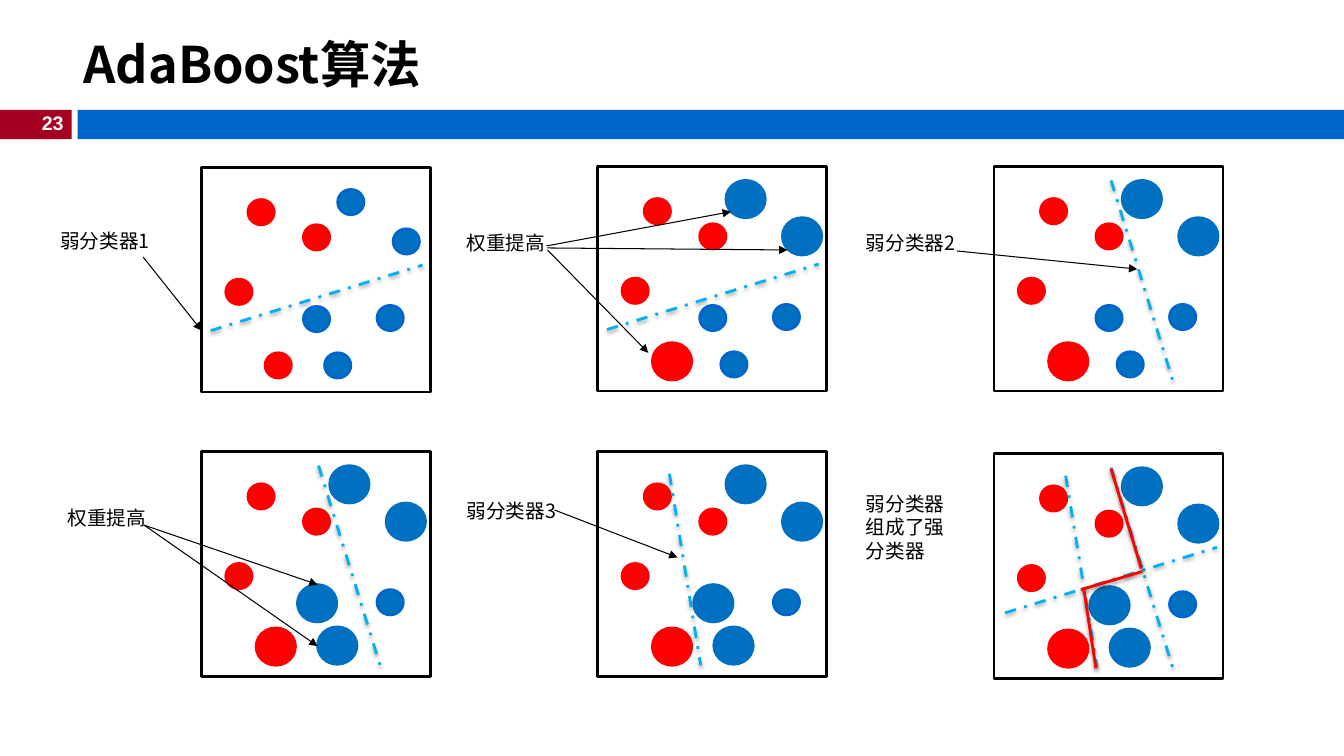
import pptx
import pptx.util
import pptx.dml.color
import pptx.enum.dml
import pptx.enum.shapes
import pptx.enum.text
import pptx.oxml
import pptx.oxml.ns
from dataclasses import dataclass
from pptx.util import Inches


@dataclass(frozen=True)
class Theme:
    black: str = "000000"
    white: str = "FFFFFF"
    banner_red: str = "A50021"
    banner_blue: str = "0066CC"
    red: str = "FF0000"
    blue: str = "0070C0"
    split: str = "00B0F0"
    title_size: int = 36
    label_size: int = 14
    outline: float = 2
    arrow: float = 0.75
    text_font: str = "Noto Sans CJK SC"
    number_font: str = "Arial"


THEME = Theme()
SHAPES = pptx.enum.shapes.MSO_SHAPE
ALIGN = pptx.enum.text.PP_ALIGN
ANCHOR = pptx.enum.text.MSO_ANCHOR

PANEL_SIZE = (2.27, 2.23)
PANEL_LEFT, PANEL_STEP = 2, 3.93
SMALL, LARGE = (0.26, 0.25), (0.39, 0.37)

# Samples: colour, corner within the panel at normal and at raised weight
SAMPLES = {
    "red left": (THEME.red, (0.46, 0.32), None),
    "red low": (THEME.red, (0.24, 1.11), None),
    "red mid": (THEME.red, (1.01, 0.57), None),
    "red base": (THEME.red, (0.63, 1.84), (0.54, 1.75)),
    "blue top": (THEME.blue, (1.35, 0.22), (1.27, 0.14)),
    "blue right": (THEME.blue, (1.9, 0.61), (1.83, 0.51)),
    "blue mid": (THEME.blue, (1.01, 1.38), (0.95, 1.32)),
    "blue side": (THEME.blue, (1.74, 1.37), None),
    "blue base": (THEME.blue, (1.22, 1.84), (1.15, 1.74)),
}
FIRST_RAISED = {"red base", "blue top", "blue right"}
ALL_RAISED = FIRST_RAISED | {"blue mid", "blue base"}

# Weak classifiers and the combined one: start and end within the panel
WEAK_1 = ((0.09, 1.62), (2.19, 0.97))
WEAK_1_COMBINED = ((0.11, 1.58), (2.21, 0.93))
WEAK_2 = ((1.16, 0.14), (1.77, 2.12))
WEAK_3 = ((0.71, 0.22), (1.02, 2.12))
STRONG = [((1.16, 0.15), (1.46, 1.14)),
          ((0.86, 1.35), (1.47, 1.17)),
          ((0.89, 1.35), (1.01, 2.13))]

# Panels: column, top, raised samples, splits behind and before large samples
PANELS = [
    (0, 1.66, set(), [WEAK_1], []),
    (1, 1.65, FIRST_RAISED, [WEAK_1], []),
    (2, 1.65, FIRST_RAISED, [WEAK_2], []),
    (0, 4.48, ALL_RAISED, [WEAK_2], []),
    (1, 4.48, ALL_RAISED, [WEAK_3], []),
    (2, 4.5, ALL_RAISED, [WEAK_3], [WEAK_1_COMBINED, WEAK_2]),
]

# Labels: text, box, and the arrows that leave them
LABELS = [
    ("弱分类器1", (0.5, 2.22, 1.12, 0.34), [((1.42, 2.55), (2, 3.28))]),
    ("权重提高", (4.53, 2.24, 1.12, 0.34),
     [((5.43, 2.46), (7.81, 2.48)), ((5.42, 2.44), (7.25, 2.1)),
      ((5.43, 2.48), (6.43, 3.5))]),
    ("弱分类器2", (8.49, 2.24, 1.12, 0.34), [((9.49, 2.49), (11.28, 2.67))]),
    ("权重提高", (0.57, 4.97, 1.12, 0.34),
     [((1.43, 5.21), (3.15, 6.41)), ((1.43, 5.21), (3.15, 5.8))]),
    ("弱分类器3", (4.53, 4.9, 1.12, 0.34), [((5.5, 5.06), (6.72, 5.53))]),
    ("弱分类器组成了强分类器", (8.49, 4.83, 1.12, 0.81), []),
]


def rgb(value):
    return pptx.dml.color.RGBColor.from_string(value)


def apply(target, values):
    for name, value in values.items():
        setattr(target, name, value)


def add_figure(slide, kind, box, fill, outline=None):
    figure = slide.shapes.add_shape(kind, *map(Inches, box))
    figure.shadow.inherit = False
    figure.fill.solid()
    figure.fill.fore_color.rgb = rgb(fill)
    if outline:
        figure.line.color.rgb = rgb(outline)
        figure.line.width = pptx.util.Pt(THEME.outline)
    else:
        figure.line.fill.background()


def add_text(slide, text, box, size, color=THEME.black, face=THEME.text_font,
             bold=False, align=ALIGN.LEFT, **frame_format):
    frame = slide.shapes.add_textbox(*map(Inches, box)).text_frame
    apply(frame, {"word_wrap": True, **frame_format})
    paragraph = frame.paragraphs[0]
    paragraph.alignment = align
    run = paragraph.add_run()
    run.text = text
    apply(run.font, {"size": pptx.util.Pt(size), "name": face, "bold": bold})
    run.font.color.rgb = rgb(color)
    east_asian = pptx.oxml.parse_xml(
        f'<a:ea {pptx.oxml.ns.nsdecls("a")} typeface="{face}"/>')
    run.font._element.append(east_asian)


def add_line(slide, start, end, color, width, dashed=False, arrow=False):
    points = map(Inches, (*start, *end))
    line = slide.shapes.add_connector(
        pptx.enum.shapes.MSO_CONNECTOR.STRAIGHT, *points)
    line.line.color.rgb = rgb(color)
    line.line.width = pptx.util.Pt(width)
    if dashed:
        line.line.dash_style = pptx.enum.dml.MSO_LINE.DASH_DOT
    namespace = pptx.oxml.ns.nsdecls("a")
    shadow = ""
    if arrow:
        line.line._get_or_add_ln().append(
            pptx.oxml.parse_xml(f'<a:tailEnd {namespace} type="triangle"/>'))
    else:
        shadow = ('<a:outerShdw blurRad="40000" dist="20000" dir="5400000" '
                  'rotWithShape="0"><a:srgbClr val="000000">'
                  '<a:alpha val="38000"/></a:srgbClr></a:outerShdw>')
    line._element.spPr.append(pptx.oxml.parse_xml(
        f'<a:effectLst {namespace}>{shadow}</a:effectLst>'))


def add_splits(slide, origin, splits, color=THEME.split, dashed=True):
    for ends in splits:
        start, end = [(origin[0] + x, origin[1] + y) for x, y in ends]
        add_line(slide, start, end, color, THEME.outline, dashed=dashed)


def add_samples(slide, origin, raised, large):
    for name, (color, normal, heavy) in SAMPLES.items():
        if (name in raised) != large:
            continue
        x, y = heavy if large else normal
        outline = color
        if color == THEME.blue and not large:
            outline = THEME.banner_blue
        box = (origin[0] + x, origin[1] + y, *(LARGE if large else SMALL))
        add_figure(slide, SHAPES.OVAL, box, color, outline)


def add_panel(slide, column, top, raised, back_splits, front_splits):
    origin = (PANEL_LEFT + column * PANEL_STEP, top)
    add_figure(slide, SHAPES.RECTANGLE, (*origin, *PANEL_SIZE),
               THEME.white, THEME.black)
    add_samples(slide, origin, raised, large=False)
    add_splits(slide, origin, back_splits)
    add_samples(slide, origin, raised, large=True)
    add_splits(slide, origin, front_splits)
    return origin


def add_header(slide):
    add_figure(slide, SHAPES.RECTANGLE, (0, 1.09, 0.71, 0.29), THEME.banner_red)
    add_figure(slide, SHAPES.RECTANGLE, (0.77, 1.09, 12.56, 0.29),
               THEME.banner_blue)
    add_text(slide, "23", (0.29, 1.05, 0.44, 0.34), THEME.label_size,
             THEME.white, THEME.number_font, bold=True, align=ALIGN.RIGHT,
             word_wrap=False)
    add_text(slide, "AdaBoost算法", (0.73, 0.26, 6.16, 0.74),
             THEME.title_size, bold=True, vertical_anchor=ANCHOR.MIDDLE)


def main():
    deck = pptx.Presentation()
    apply(deck, {"slide_width": Inches(13.33), "slide_height": Inches(7.5)})
    slide = deck.slides.add_slide(deck.slide_layouts[6])

    add_header(slide)

    # Boosting rounds, the last one holding the combined classifier
    for panel in PANELS:
        origin = add_panel(slide, *panel)

    # Labels and arrows
    for text, box, arrows in LABELS:
        add_text(slide, text, box, THEME.label_size,
                 auto_size=pptx.enum.text.MSO_AUTO_SIZE.SHAPE_TO_FIT_TEXT)
        for start, end in arrows:
            add_line(slide, start, end, THEME.black, THEME.arrow, arrow=True)

    # Strong classifier
    add_splits(slide, origin, STRONG, THEME.red, dashed=False)

    deck.save("out.pptx")


if __name__ == "__main__":
    main()
